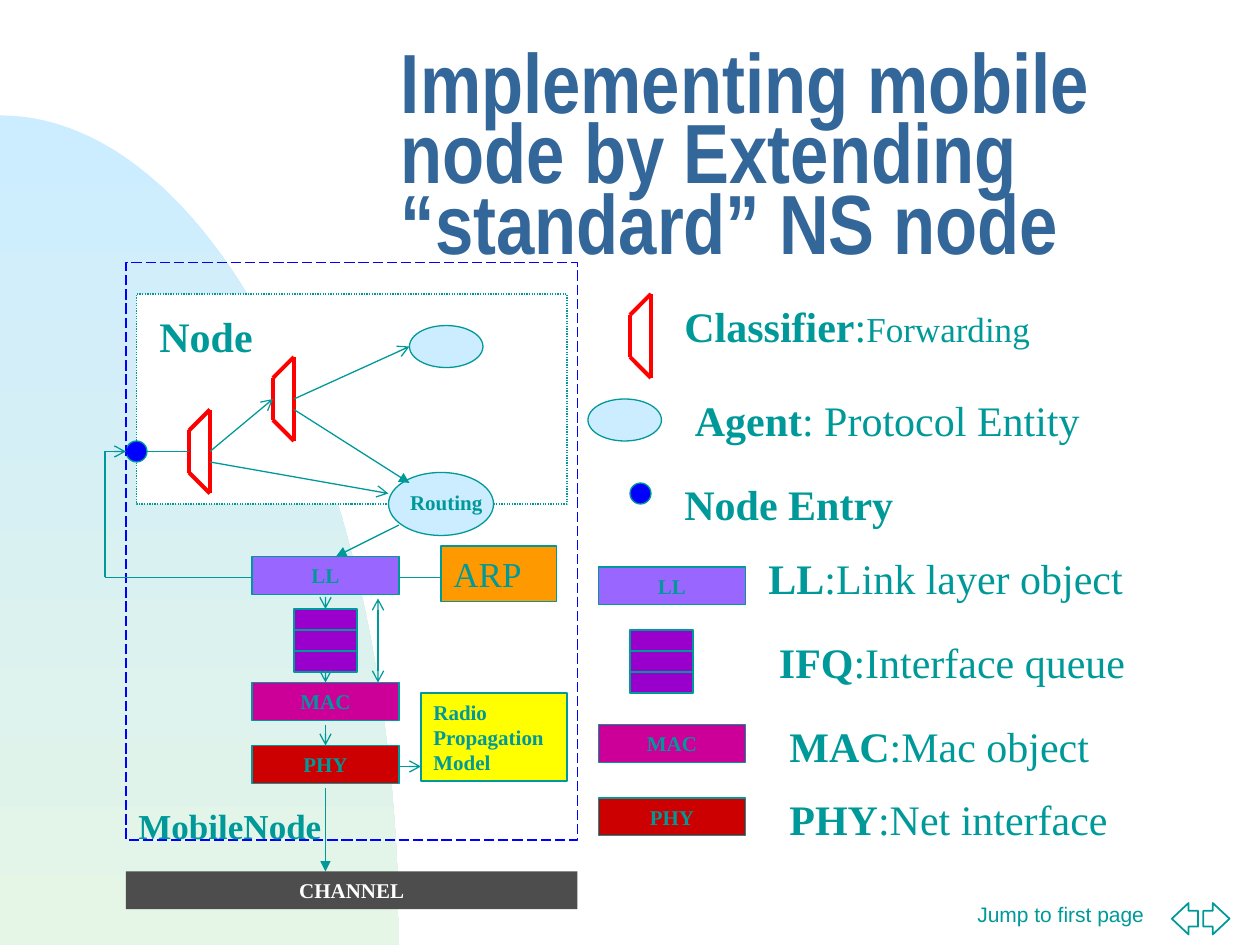
from math import cos, pi, sin

from pptx import Presentation
from pptx.dml.color import RGBColor
from pptx.enum.dml import MSO_LINE as Dash
from pptx.enum.shapes import MSO_CONNECTOR as Link, MSO_SHAPE as Kind
from pptx.enum.text import MSO_ANCHOR as Anchor, PP_ALIGN as Align
from pptx.oxml.ns import qn
from pptx.util import Emu, Pt
from lxml.etree import SubElement

PX = 7620  # 120 px to the inch

TEAL, WHITE, RED = "009999", "FFFFFF", "FF0000"
SKY, BLUE, NAVY = "CCECFF", "0000FF", "336699"
LAYER_FILLS = {"LL": "9966FF", "MAC": "CC0099", "PHY": "CC0000"}
QUEUE_FILL = "9900CC"


def emu(*lengths):
    return [Emu(length * PX) for length in lengths]


def rgb(value):
    return RGBColor.from_string(value)


class Sketch:
    """Holds the style and the page being drawn."""
    font = "Times New Roman"
    ink = TEAL
    thin = 0.75

    def __init__(self, page):
        self.page = page

    def set_text(self, shape, spans, size, color=None, font=None, align=Align.LEFT,
                 anchor=Anchor.TOP, wrap=True, spacing=None):
        """Fill a shape with one paragraph of (text, bold[, size]) spans."""
        frame = shape.text_frame
        frame.word_wrap = wrap
        frame.vertical_anchor = anchor
        para = frame.paragraphs[0]
        para.alignment = align
        if spacing:
            para.line_spacing = spacing
        for text, bold, *own_size in spans:
            span = para.add_run()
            span.text = text
            span.font.name = font or self.font
            span.font.size = Pt(own_size[0] if own_size else size)
            span.font.bold = bold
            span.font.color.rgb = rgb(color or self.ink)

    def text(self, place, spans, size=24, **style):
        box = self.page.shapes.add_textbox(*emu(*place))
        self.set_text(box, spans, size, **style)

    def shape(self, kind, place, fill=None, line=TEAL, dash=None, width=None):
        shape = self.page.shapes.add_shape(kind, *emu(*place))
        shape.shadow.inherit = False
        if fill:
            shape.fill.solid()
            shape.fill.fore_color.rgb = rgb(fill)
        else:
            shape.fill.background()
        if line:
            shape.line.color.rgb = rgb(line)
            shape.line.width = Pt(width or self.thin)
            if dash:
                shape.line.dash_style = dash
        else:
            shape.line.fill.background()
        return shape

    def line(self, x1, y1, x2, y2, head=None, tail=None, color=None, width=None):
        """Draw a line; head is the arrowhead at its start, tail at its end."""
        line = self.page.shapes.add_connector(Link.STRAIGHT, *emu(x1, y1, x2, y2))
        line.line.color.rgb = rgb(color or self.ink)
        line.line.width = Pt(width or self.thin)
        outline = line._element.spPr.find(qn("a:ln"))
        for tag, arrow in (("a:headEnd", head), ("a:tailEnd", tail)):
            if arrow:
                SubElement(outline, qn(tag), type=arrow)
        SubElement(line._element.spPr, qn("a:effectLst"))

    def classifier(self, x, y):
        corners = [(x + 20, y), (x, y + 20), (x, y + 60), (x + 20, y + 80)]
        for start, end in zip(corners, corners[1:] + corners[:1]):
            self.line(*start, *end, color=RED, width=2.25)

    def agent(self, x, y, width=70, height=40):
        self.shape(Kind.OVAL, (x, y, width, height), SKY)

    def entry(self, x, y):
        self.shape(Kind.OVAL, (x, y, 20, 20), BLUE)

    def queue(self, x, y):
        self.shape(Kind.RECTANGLE, (x, y, 60, 60), QUEUE_FILL)
        for row in (y + 20, y + 40):
            self.line(x, row, x + 60, row)

    def label(self, place, fill, text, size=12, bold=True, align=Align.CENTER,
              color=None, line=TEAL):
        box = self.shape(Kind.RECTANGLE, place, fill, line)
        self.set_text(box, [(text, bold)], size, color, align=align)

    def layer(self, name, x, y):
        self.label((x, y, 140, 36), LAYER_FILLS[name], name)

    def backdrop(self):
        """Quarter ellipse with a vertical gradient in the lower left corner."""
        steps = 90
        angles = [step * pi / 2 / steps for step in range(steps + 1)]
        curve = [(round(380 * sin(a) * PX), round((900 - 790 * cos(a)) * PX))
                 for a in angles]
        builder = self.page.shapes.build_freeform(*curve[0])
        builder.add_line_segments(curve[1:] + [(0, 900 * PX)], close=True)
        arc = builder.convert_to_shape()
        arc.shadow.inherit = False
        arc.line.fill.background()
        arc.fill.gradient()
        arc.fill.gradient_angle = 270
        for stop, color in zip(arc.fill.gradient_stops, (SKY, "E5F5E6")):
            stop.color.rgb = rgb(color)


def draw_frame(sketch):
    sketch.backdrop()
    sketch.text((919, 853, 200, 55), [("Jump to first page", False)], 12, font="Arial")
    for kind, x in ((Kind.LEFT_ARROW, 1116), (Kind.RIGHT_ARROW, 1146)):
        arrow = sketch.shape(kind, (x, 860, 25, 30), WHITE, width=1)
        arrow.adjustments[0], arrow.adjustments[1] = 0.5, 0.64
    sketch.text((370, 80, 800, 150),
                [("Implementing mobile node by Extending “standard” NS node", True)],
                48, color=NAVY, font="Arial Narrow", anchor=Anchor.MIDDLE, spacing=0.7)


def draw_node(sketch):
    sketch.shape(Kind.RECTANGLE, (130, 280, 410, 200), WHITE, dash=Dash.ROUND_DOT)
    sketch.text((140, 290, 130, 60), [("Node", True)])
    sketch.classifier(260, 340)
    sketch.classifier(180, 390)
    sketch.entry(120, 420)
    sketch.agent(390, 310)
    sketch.agent(370, 450, 100, 60)
    sketch.line(140, 430, 180, 430)
    sketch.line(200, 430, 260, 380, tail="arrow")
    sketch.line(280, 380, 390, 330, tail="arrow")
    sketch.line(200, 440, 370, 470, tail="arrow")
    sketch.line(280, 390, 390, 460, tail="triangle")
    sketch.line(380, 500, 320, 530, tail="triangle")
    sketch.text((370, 460, 110, 36), [("Routing", True)], 12, align=Align.CENTER)


def draw_stack(sketch):
    sketch.shape(Kind.RECTANGLE, (120, 250, 430, 550), line=BLUE, dash=Dash.LONG_DASH)
    sketch.text((120, 760, 198, 53), [("MobileNode", True)], 20, wrap=False)
    sketch.label((420, 520, 110, 53), "FF9900", "ARP", 20, False, Align.LEFT)
    sketch.label((401, 660, 139, 84), "FFFF00", "Radio Propagation Model",
                 align=Align.LEFT)
    sketch.line(380, 550, 420, 550)
    sketch.line(380, 730, 401, 730, tail="arrow")
    sketch.line(240, 550, 100, 550)
    sketch.line(100, 550, 100, 430)
    sketch.line(100, 430, 120, 430, tail="arrow")
    for name, y in (("LL", 530), ("MAC", 650), ("PHY", 710)):
        sketch.layer(name, 240, y)
    sketch.queue(280, 580)
    for top, bottom in ((570, 580), (640, 650), (690, 710)):
        sketch.line(310, top, 310, bottom, tail="arrow")
    sketch.line(360, 650, 360, 570, head="arrow", tail="arrow")
    sketch.line(310, 750, 310, 830, tail="triangle")
    sketch.label((120, 830, 430, 36), "4D4D4D", "CHANNEL", color=WHITE, line=None)


def draw_legend(sketch):
    sketch.classifier(600, 280)
    sketch.agent(560, 380)
    sketch.entry(600, 460)
    sketch.queue(600, 600)
    for name, y in (("LL", 540), ("MAC", 690), ("PHY", 760)):
        sketch.layer(name, 570, y)
    sketch.text((640, 280, 480, 60),
                [("Classifier", True), (":", False), ("Forwarding", False, 20)])
    entries = [(650, 370, 480, "Agent", ": Protocol Entity"),
               (720, 520, 390, "LL", ":Link layer object"),
               (730, 600, 390, "IFQ", ":Interface queue"),
               (740, 680, 390, "MAC", ":Mac object"),
               (740, 750, 390, "PHY", ":Net interface")]
    for x, y, width, term, meaning in entries:
        sketch.text((x, y, width, 60), [(term, True), (meaning, False)])
    sketch.text((640, 450, 480, 60), [("Node Entry", True)])


def main():
    deck = Presentation()
    deck.slide_width, deck.slide_height = emu(1200, 900)
    sketch = Sketch(deck.slides.add_slide(deck.slide_layouts[6]))
    for draw in (draw_frame, draw_node, draw_stack, draw_legend):
        draw(sketch)
    deck.save("out.pptx")


if __name__ == "__main__":
    main()
